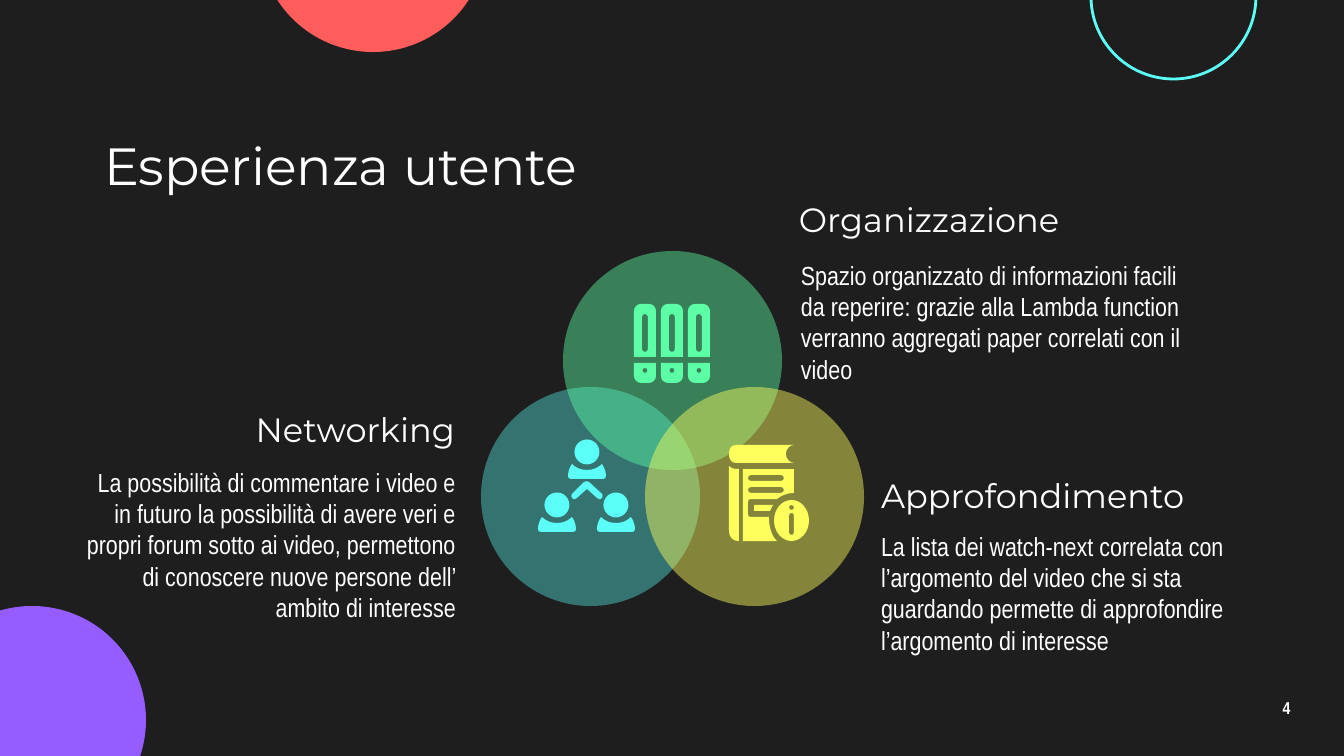
from lxml import etree
from pptx import Presentation
from pptx.dml.color import RGBColor
from pptx.enum.shapes import MSO_SHAPE
from pptx.enum.text import MSO_ANCHOR, PP_ALIGN
from pptx.oxml.ns import qn
from pptx.util import Pt

OVAL = MSO_SHAPE.OVAL
TOP, MIDDLE = MSO_ANCHOR.TOP, MSO_ANCHOR.MIDDLE
LEFT, CENTER, RIGHT = PP_ALIGN.LEFT, PP_ALIGN.CENTER, PP_ALIGN.RIGHT

DARK = RGBColor(0x1E, 0x1E, 0x1E)
WHITE = RGBColor(0xFF, 0xFF, 0xFF)
PURPLE = RGBColor(0x95, 0x5C, 0xFF)
CORAL = RGBColor(0xFF, 0x5C, 0x5C)
CYAN = RGBColor(0x5C, 0xFF, 0xF8)
GREEN = RGBColor(0x5C, 0xFF, 0xA6)
YELLOW = RGBColor(0xFD, 0xFF, 0x5C)

PIXEL = 914400 / 134.4
INSET = 13
BEND = 0.45

HEADING, BODY = "Montserrat", "Arial Narrow"
STYLES = {
    "number": (BODY, 9.2, True, MIDDLE),
    "title": (HEADING, 28, False, MIDDLE),
    "heading": (HEADING, 18, False, MIDDLE),
    "body": (BODY, 14, False, TOP),
}
TEXTS = [
    ("number", CENTER, (1246, 685, 81, 46), "4"),
    ("title", LEFT, (91, 130, 597, 69), "Esperienza utente"),
    ("heading", LEFT, (786, 196, 405, 46), "Organizzazione"),
    ("body", LEFT, (788, 246, 425, 161),
     "Spazio organizzato di informazioni facili da reperire: grazie alla Lambda function "
     "verranno aggregati paper correlati con il video"),
    ("heading", RIGHT, (145, 406, 323, 46), "Networking"),
    ("body", RIGHT, (71, 453, 398, 185),
     "La possibilità di commentare i video e in futuro la possibilità di avere veri e propri "
     "forum sotto ai video, permettono di conoscere nuove persone dell’ ambito di interesse"),
    ("heading", LEFT, (868, 472, 353, 46), "Approfondimento"),
    ("body", LEFT, (868, 517, 382, 219),
     "La lista dei watch-next correlata con l’argomento del video che si sta guardando "
     "permette di approfondire l’argomento di interesse"),
]
CORNER_DISCS = [(-82, 606, 228, PURPLE), (259, -176, 228, CORAL)]
CORNER_RING = (1091, -86, 165, CYAN)
VENN_SIZE = 219
VENN = [(481, 387, CYAN, 38), (563, 251, GREEN, 44), (645, 387, YELLOW, 46)]

HEAD_SIZE = 25
HEADS = [(587, 452), (616, 505), (557, 505)]
SHOULDERS = [
    (-15, 12), (-17, 15, -19, 19, -19, 24), (-19, 26, -18, 27, -16, 27),
    (16, 27), (18, 27, 19, 26, 19, 24), (19, 19, 17, 15, 15, 12),
    (11, 16, 6, 18, 0, 18), (-6, 18, -11, 16, -15, 12),
]
CHEVRON = [
    (584, 482), (572, 494), (571, 495, 571, 497, 572, 498),
    (573, 500, 575, 500, 577, 498), (587, 489), (597, 498),
    (599, 500, 601, 500, 602, 498), (603, 497, 603, 495, 602, 494),
    (589, 482), (588, 481, 586, 481, 584, 482),
]
SPINE = [
    (729, 466), (729, 530), (729, 537, 732, 541, 739, 541),
    (739, 469), (736, 469), (733, 469, 731, 468, 729, 466),
]
SHEET = [
    (743, 469), (743, 541), (777, 541), (772, 536, 769, 528, 769, 517),
    (751, 517), (749, 517, 748, 516, 748, 514),
    (748, 502), (748, 500, 749, 499, 751, 499), (777, 499),
    (781, 496, 786, 493, 794, 493), (794, 469),
]
SHORT_LINE = [(754, 505), (754, 511), (770, 511), (771, 509, 772, 507, 773, 505)]
COVER = [
    (736, 445), (731, 445, 729, 449, 729, 454), (729, 459, 731, 463, 736, 463),
    (794, 463), (790, 463, 786, 459, 786, 454), (786, 449, 790, 445, 794, 445),
]
BINDER_CENTERS = [645, 672, 699]


def emu(pixels):
    return round(pixels * PIXEL)


def rounded(left, top, width, height, top_x, top_y, low_x, low_y):
    right, bottom = left + width, top + height
    steps = [
        (left + top_x, top), (right - top_x, top),
        (right - top_x * BEND, top, right, top + top_y * BEND, right, top + top_y),
        (right, bottom - low_y),
        (right, bottom - low_y * BEND, right - low_x * BEND, bottom, right - low_x, bottom),
        (left + low_x, bottom),
        (left + low_x * BEND, bottom, left, bottom - low_y * BEND, left, bottom - low_y),
        (left, top + top_y),
        (left, top + top_y * BEND, left + top_x * BEND, top, left + top_x, top),
    ]
    return steps[:1] + [step for before, step in zip(steps, steps[1:])
                        if max(abs(a - b) for a, b in zip(before[-2:], step[-2:])) > 0.01]


def oval(left, top, width, height):
    half_x, half_y = width / 2, height / 2
    return rounded(left, top, width, height, half_x, half_y, half_x, half_y)


def pill(left, top, width, height):
    radius = min(width, height) / 2
    return rounded(left, top, width, height, radius, radius, radius, radius)


def moved(contour, x, y):
    return [tuple(value + (y if index % 2 else x) for index, value in enumerate(step))
            for step in contour]


def paint(shape, color):
    shape.shadow.inherit = False
    shape.fill.solid()
    shape.fill.fore_color.rgb = color
    shape.line.fill.background()


def add_circle(left, top, size):
    return page.shapes.add_shape(OVAL, emu(left), emu(top), emu(size), emu(size))


def add_outline(color, *contours):
    ends = [[(emu(step[-2]), emu(step[-1])) for step in contour] for contour in contours]
    builder = page.shapes.build_freeform(*ends[0][0], scale=1.0)
    for index, points in enumerate(ends):
        if index:
            builder.move_to(*points[0])
        builder.add_line_segments(points[1:], close=True)
    shape = builder.convert_to_shape()
    paint(shape, color)
    segments = list(shape._element.iter(qn("a:lnTo")))
    steps = [step for contour in contours for step in contour[1:]]
    for segment, step in zip(segments, steps):
        if len(step) == 6:
            curve = etree.Element(qn("a:cubicBezTo"))
            for x, y in zip(step[::2], step[1::2]):
                point = etree.SubElement(curve, qn("a:pt"))
                point.set("x", str(emu(x) - shape.left))
                point.set("y", str(emu(y) - shape.top))
            segment.getparent().replace(segment, curve)


def add_text(style, align, place, words):
    font, size, bold, anchor = STYLES[style]
    box = page.shapes.add_textbox(*map(emu, place))
    frame = box.text_frame
    frame.word_wrap = True
    frame.vertical_anchor = anchor
    frame.margin_left = frame.margin_right = emu(INSET)
    frame.margin_top = frame.margin_bottom = emu(INSET)
    frame.text = words
    para = frame.paragraphs[0]
    para.alignment = align
    span = para.runs[0].font
    span.name, span.size, span.bold = font, Pt(size), bold
    span.color.rgb = WHITE


deck = Presentation()
deck.slide_width, deck.slide_height = emu(1344), emu(756)
page = deck.slides.add_slide(deck.slide_layouts[6])
page.background.fill.solid()
page.background.fill.fore_color.rgb = DARK

for left, top, size, color in CORNER_DISCS:
    paint(add_circle(left, top, size), color)
ring = add_circle(*CORNER_RING[:3])
ring.shadow.inherit = False
ring.fill.background()
ring.line.color.rgb = CORNER_RING[3]
ring.line.width = Pt(1.5)

for text in TEXTS:
    add_text(*text)

for left, top, color, opacity in VENN:
    disc = add_circle(left, top, VENN_SIZE)
    paint(disc, color)
    tint = disc._element.spPr.find(qn("a:solidFill"))[0]
    etree.SubElement(tint, qn("a:alpha")).set("val", str(opacity * 1000))

for x, y in HEADS:
    paint(add_circle(x - HEAD_SIZE / 2, y - HEAD_SIZE / 2, HEAD_SIZE), CYAN)
    add_outline(CYAN, moved(SHOULDERS, x, y))
add_outline(CYAN, CHEVRON)

add_outline(YELLOW, oval(774, 500, 35, 41), oval(789, 505, 5, 5), pill(789, 513, 5, 22))
add_outline(YELLOW, SPINE)
add_outline(YELLOW, SHEET, *[pill(748, top, 36, 6) for top in (475, 487)])
add_outline(YELLOW, SHORT_LINE)
add_outline(YELLOW, COVER)

for x in BINDER_CENTERS:
    add_outline(GREEN, rounded(x - 11, 304, 22, 53, 7, 7, 0, 0), pill(x - 3, 314, 6, 38))
    add_outline(GREEN, rounded(x - 11, 363, 22, 20, 0, 0, 7, 7), oval(x - 2.5, 368, 5, 5))

deck.save("out.pptx")
